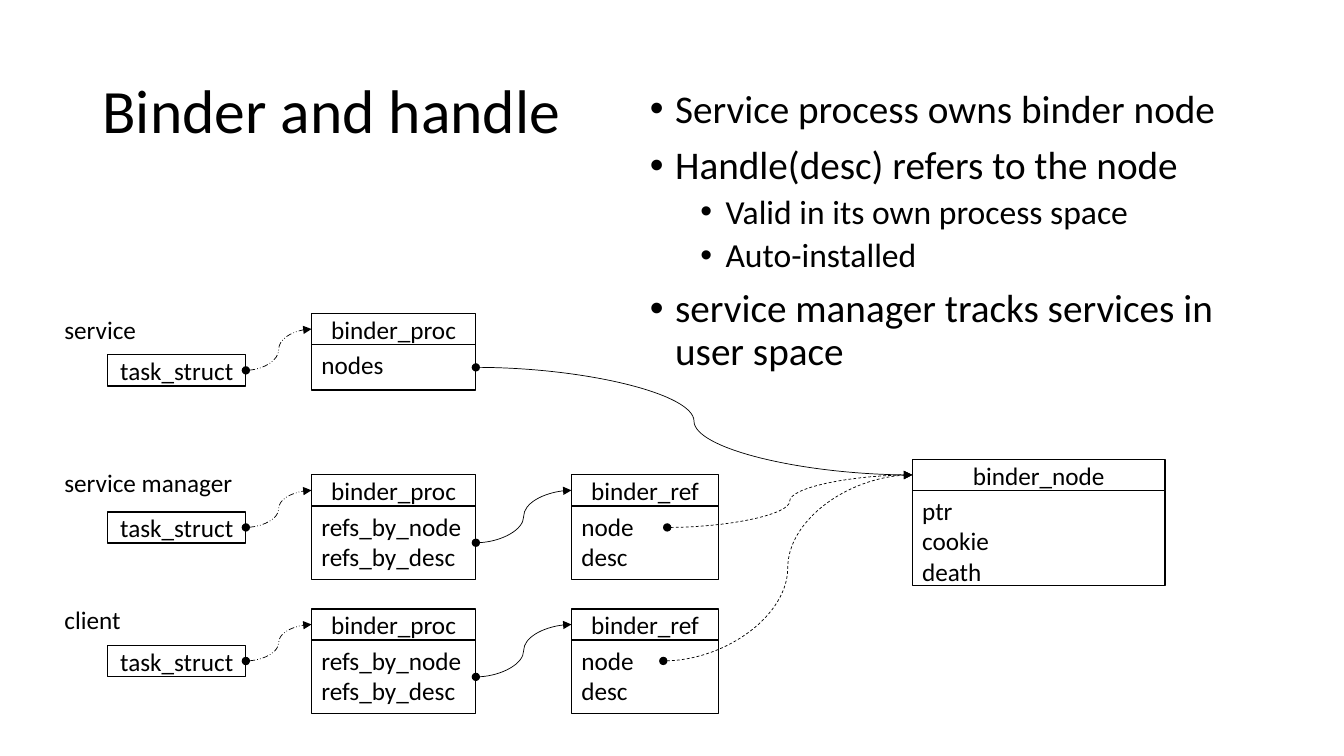
from lxml.etree import SubElement
from pptx import Presentation
from pptx.dml.color import RGBColor
from pptx.enum.dml import MSO_LINE
from pptx.enum.shapes import MSO_CONNECTOR, MSO_SHAPE
from pptx.enum.text import MSO_ANCHOR, PP_ALIGN
from pptx.oxml.ns import qn
from pptx.util import Pt


def color(code):
    return RGBColor.from_string(code)


class Sketch:
    font = "Calibri"
    ink = "000000"
    paper = "FFFFFF"
    bar = 22.3  # height of a header box

    def __init__(self, slide):
        self.slide = slide

    def style(self, para, size):
        for run in para.runs:
            run.font.name = self.font
            run.font.size = Pt(size)
            run.font.color.rgb = color(self.ink)

    def place(self, shape, left, top, width, height):
        shape.left, shape.top = Pt(left), Pt(top)
        shape.width, shape.height = Pt(width), Pt(height)

    def title(self, text, *area):
        shape = self.slide.shapes.title
        self.place(shape, *area)
        frame = shape.text_frame
        frame.text = text
        frame.vertical_anchor = MSO_ANCHOR.MIDDLE
        para = frame.paragraphs[0]
        para.alignment = PP_ALIGN.LEFT
        para.line_spacing = 0.9
        self.style(para, 44)

    def points(self, items, *area):
        shape = self.slide.shapes.add_textbox(*map(Pt, area))
        frame = shape.text_frame
        frame.word_wrap = True
        for i, (level, text) in enumerate(items):
            para = frame.add_paragraph() if i else frame.paragraphs[0]
            para.text = text
            para.level = level
            para.line_spacing = 0.9
            para.space_before = Pt(5 if level else 10)
            self.style(para, 24 if level else 28)
            props = para._p.get_or_add_pPr()
            props.set("marL", str(Pt(18 + 36 * level)))
            props.set("indent", str(Pt(-18)))
            SubElement(props, qn("a:buFont"), typeface="Arial")
            SubElement(props, qn("a:buChar"), char="•")

    def box(self, text, left, top, width, height,
            align=PP_ALIGN.LEFT, anchor=MSO_ANCHOR.MIDDLE, edge=ink):
        shape = self.slide.shapes.add_shape(
            MSO_SHAPE.RECTANGLE, Pt(left), Pt(top), Pt(width), Pt(height))
        shape.shadow.inherit = False
        shape.fill.background()
        shape.line.color.rgb = color(edge)
        shape.line.width = Pt(1)
        frame = shape.text_frame
        frame.word_wrap = True
        frame.vertical_anchor = anchor
        frame.text = text
        for para in frame.paragraphs:
            para.alignment = align
            self.style(para, 18)

    def label(self, text, *area):
        self.box(text, *area, edge=self.paper)

    def head(self, text, left, top, width):
        """Return the middle of the left and of the right edge."""
        self.box(text, left, top, width, self.bar, PP_ALIGN.CENTER)
        mid = top + self.bar / 2
        return (left, mid), (left + width, mid)

    def struct(self, name, fields, left, top, width, height):
        """Return the point where links enter and the one where they leave."""
        enter, _ = self.head(name, left, top, width)
        base = top + self.bar
        self.box(fields, left, base, width, height, anchor=MSO_ANCHOR.TOP)
        return enter, (left + width, base + height / 2)

    def link(self, start, end, dash=None):
        line = self.slide.shapes.add_connector(
            MSO_CONNECTOR.CURVE, *map(Pt, start + end))
        line.line.color.rgb = color(self.ink)
        line.line.width = Pt(0.5)
        if dash:
            line.line.dash_style = dash
        props = line._element.spPr
        stroke = props.find(qn("a:ln"))
        SubElement(stroke, qn("a:headEnd"), type="oval")
        SubElement(stroke, qn("a:tailEnd"), type="triangle")
        SubElement(props, qn("a:effectLst"))


def main():
    deck = Presentation()
    deck.slide_width, deck.slide_height = Pt(960), Pt(540)
    art = Sketch(deck.slides.add_slide(deck.slide_layouts[5]))

    # Title and points
    art.title("Binder and handle", 66, 28.75, 828, 104.4)
    art.points([
        (0, "Service process owns binder node"),
        (0, "Handle(desc) refers to the node"),
        (1, "Valid in its own process space"),
        (1, "Auto-installed"),
        (0, "service manager tracks services in user space"),
    ], 457.2, 60.5, 436.3, 223.2)

    # Shared node
    goal, _ = art.struct("binder_node", "ptr\ncookie\ndeath",
                         651.6, 328.1, 180.7, 67.7)

    # One row per process: label, its top, width and height,
    # top of the task, top of the structs, start of the link to the node
    rows = [
        ("service", 226.1, 76.3, 18, 253.4, 223.9, None),
        ("service manager", 337, 136.8, 15.8, 365.6, 339.1, 476.6),
        ("client", 436.3, 58.3, 12.2, 461, 434.9, 473.8),
    ]
    for name, y, width, height, task_y, top, node_x in rows:
        art.label(name, 38.9, y, width, height)
        _, task = art.head("task_struct", 77, task_y, 98.6)
        fields, depth = (("refs_by_node\nrefs_by_desc", 52.6) if node_x
                         else ("nodes", 32.4))
        proc, out = art.struct("binder_proc", fields, 222.5, top, 117.4, depth)
        art.link(task, proc, MSO_LINE.DASH_DOT_DOT)
        if node_x:
            ref, _ = art.struct("binder_ref", "node\ndesc",
                                408.2, top, 105.1, depth)
            art.link(out, ref)
            art.link((node_x, task[1]), goal, MSO_LINE.DASH)
        else:
            art.link(out, goal)

    deck.save("out.pptx")


if __name__ == "__main__":
    main()
